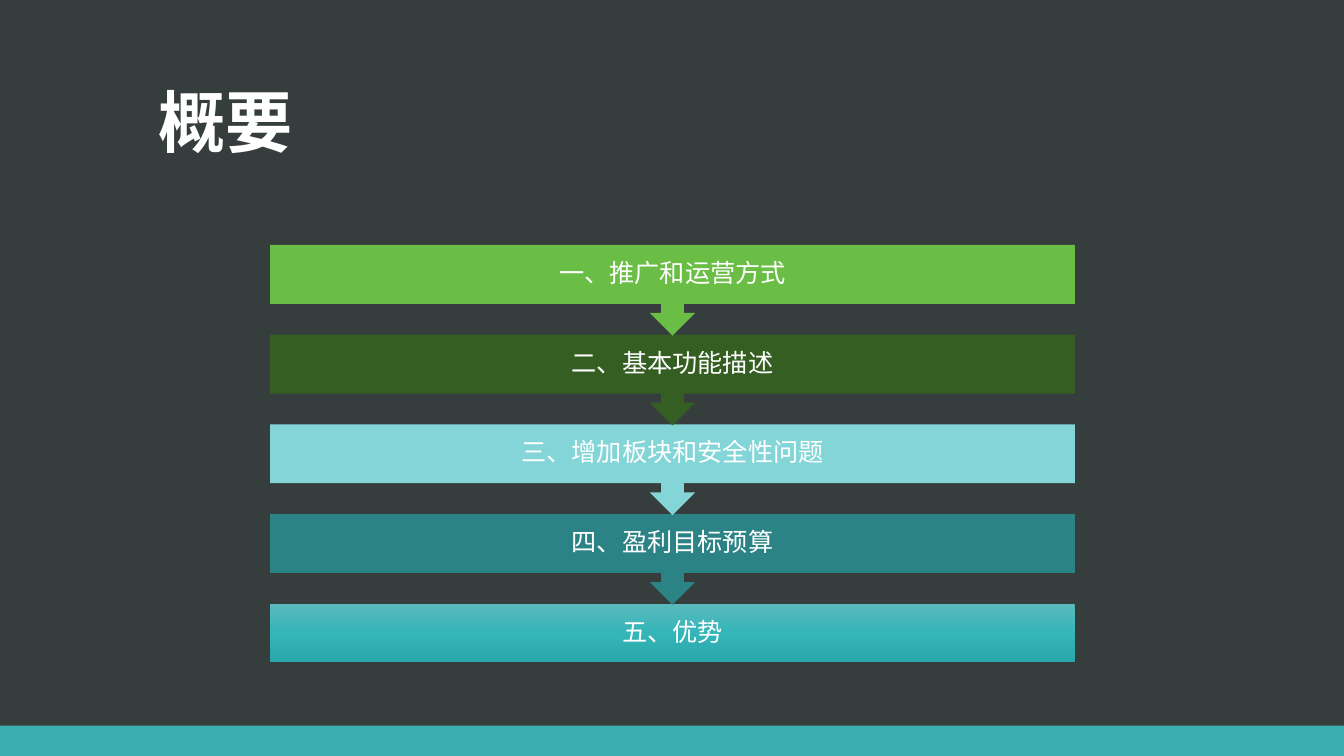
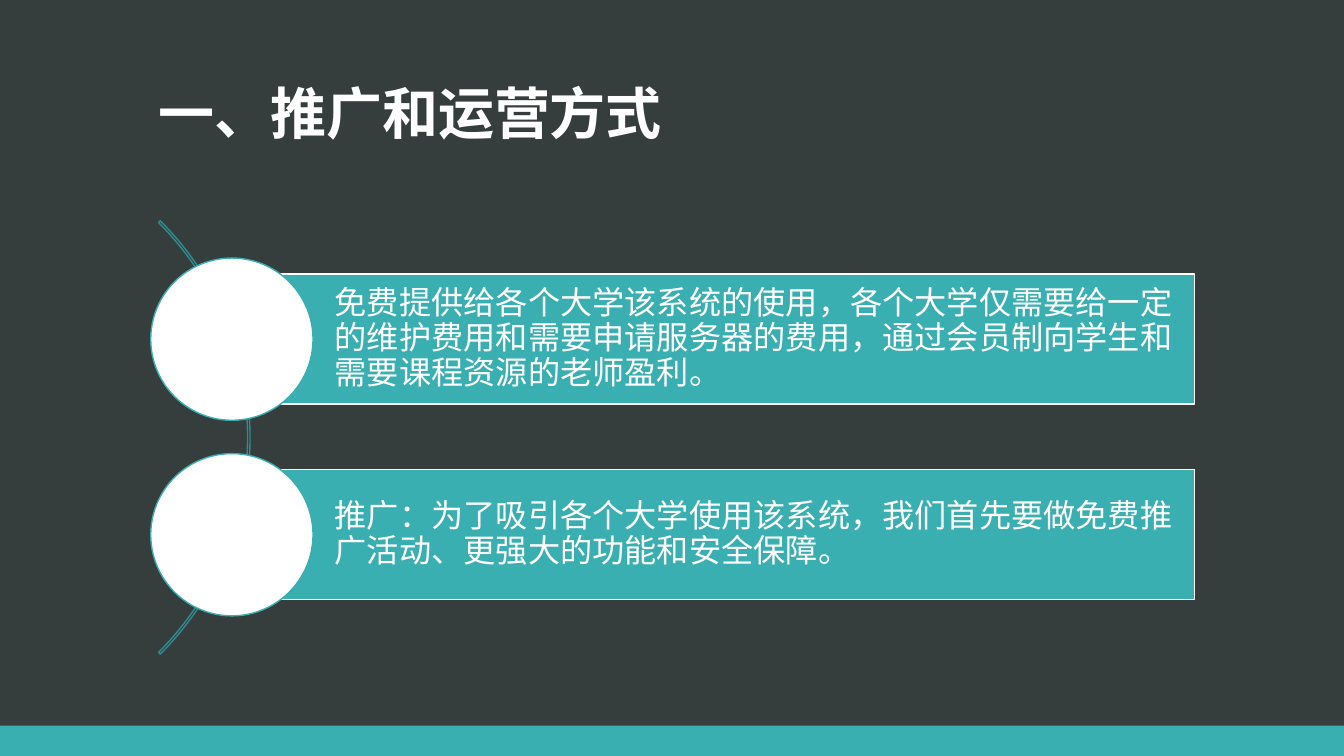
from copy import deepcopy
from dataclasses import dataclass

from pptx import Presentation
from pptx import util as u
from pptx.dml.color import RGBColor
from pptx.enum import lang, shapes, text
from pptx.oxml import ns, xmlchemy


@dataclass(frozen=True)
class Theme:
    """Colours, fonts and type sizes of the deck."""
    background: str = "363D3D"
    accent: str = "3AAFB2"
    arc: str = "2E8C8F"
    white: str = "FFFFFF"
    steps: tuple = ("6ABD45", "355F22", "83D5D7", "2B8386")
    last_step: tuple = ("5ABABD", "34B5B8", "29A6A9")
    latin_font: str = "Calibri"
    chinese_font: str = "Noto Sans CJK SC"
    step_size: int = 18
    point_size: int = 23


theme = Theme()
rgb = RGBColor.from_string


def write(shape, content, size, font, align, anchor, insets, bold=False):
    """Fill a shape with one formatted paragraph of Chinese text."""
    frame = shape.text_frame
    frame.text = content
    frame.word_wrap = True
    frame.auto_size = text.MSO_AUTO_SIZE.NONE
    frame.vertical_anchor = anchor
    (frame.margin_left, frame.margin_top,
     frame.margin_right, frame.margin_bottom) = map(u.Inches, insets)
    paragraph = frame.paragraphs[0]
    paragraph.alignment = align
    paragraph.line_spacing = 0.9
    run = paragraph.runs[0]
    run.font.size = u.Pt(size)
    run.font.bold = bold
    run.font.name = font
    run.font.color.rgb = rgb(theme.white)
    run.font.language_id = lang.MSO_LANGUAGE_ID.SIMPLIFIED_CHINESE
    east_asian = xmlchemy.OxmlElement("a:ea")
    east_asian.set("typeface", theme.chinese_font)
    run.font._element.find(ns.qn("a:latin")).addnext(east_asian)


def add_shape(slide, kind, box, fill=None, line=None):
    """Add a flat preset shape; box is left, top, width, height in inches."""
    shape = slide.shapes.add_shape(kind, *map(u.Inches, box))
    shape.shadow.inherit = False
    if fill:
        shape.fill.solid()
        shape.fill.fore_color.rgb = rgb(fill)
    else:
        shape.fill.background()
    if line:
        shape.line.color.rgb = rgb(line)
        shape.line.width = u.Pt(1)
    else:
        shape.line.fill.background()
    return shape


presentation = Presentation()
presentation.slide_width = u.Inches(13.33)
presentation.slide_height = u.Inches(7.5)
master_fill = presentation.slide_master.background.fill
master_fill.solid()
master_fill.fore_color.rgb = rgb(theme.background)
layout = presentation.slide_layouts.get_by_name("Title Only")

# Titles: wording, size, top, height
titles = [("概要", 48, 0.43, 1.23), ("一、推广和运营方式", 40, 0.4, 1.1)]
for title, size, top, height in titles:
    slide = presentation.slides.add_slide(layout)
    placeholder = slide.shapes.title
    placeholder.left, placeholder.top = u.Inches(1.47), u.Inches(top)
    placeholder.width, placeholder.height = u.Inches(10.4), u.Inches(height)
    write(placeholder, title, size, theme.chinese_font, text.PP_ALIGN.LEFT,
          text.MSO_ANCHOR.BOTTOM, (0.1, 0.05, 0.1, 0.05), bold=True)
overview, promotion = presentation.slides

# The footer band is drawn once and moved to the shared layout
band = add_shape(overview, shapes.MSO_SHAPE.RECTANGLE, (0, 7.2, 13.33, 0.3), theme.accent)
layout.shapes.element.insert(2, band.element)

# Overview: a chain of steps, the last one without an arrow
steps = ["一、推广和运营方式", "二、基本功能描述", "三、增加板块和安全性问题",
         "四、盈利目标预算", "五、优势"]
step_left, step_top, step_width, step_pitch = 2.68, 2.43, 7.98, 0.89
for index in reversed(range(len(steps))):
    top = step_top + index * step_pitch
    if index < len(theme.steps):
        step = add_shape(overview, shapes.MSO_SHAPE.DOWN_ARROW_CALLOUT,
                         (step_left, top, step_width, 0.9), theme.steps[index])
    else:
        step = add_shape(overview, shapes.MSO_SHAPE.RECTANGLE,
                         (step_left, top, step_width, 0.58))
        step.fill.gradient()
        step.fill.gradient_angle = 270
        stop_list = step.element.find(".//" + ns.qn("a:gsLst"))
        stop_list.insert(1, deepcopy(stop_list[0]))
        for stop, position, color in zip(step.fill.gradient_stops, (0, 0.5, 1), theme.last_step):
            stop.position = position
            stop.color.rgb = rgb(color)
    write(step, steps[index], theme.step_size, theme.latin_font, text.PP_ALIGN.CENTER,
          text.MSO_ANCHOR.MIDDLE, (0.14,) * 4)

# Promotion: two points strung along an arc from -45 to 45 degrees
arc = add_shape(promotion, shapes.MSO_SHAPE.BLOCK_ARC, (-3.6, 1.3, 6.08, 6.08), line=theme.arc)
for index, value in enumerate((189, 27, 0.004)):
    arc.adjustments[index] = value

points = ["免费提供给各个大学该系统的使用，各个大学仅需要给一定的维护费用和需要申请服务器的费用，"
          "通过会员制向学生和需要课程资源的老师盈利。",
          "推广：为了吸引各个大学使用该系统，我们首先要做免费推广活动、更强大的功能和安全保障。"]
bar_left, bar_height, diameter = 2.3, 1.29, 1.61
for index, point in enumerate(points):
    middle = 3.365 + index * 1.94
    bar = add_shape(promotion, shapes.MSO_SHAPE.RECTANGLE,
                    (bar_left, middle - bar_height / 2, 9.55, bar_height),
                    theme.accent, theme.white)
    write(bar, point, theme.point_size, theme.latin_font, text.PP_ALIGN.LEFT,
          text.MSO_ANCHOR.MIDDLE, (1.02, 0.06, 0.06, 0.06))
    add_shape(promotion, shapes.MSO_SHAPE.OVAL,
              (bar_left - diameter / 2, middle - diameter / 2, diameter, diameter),
              theme.white, theme.accent)

presentation.save("out.pptx")
